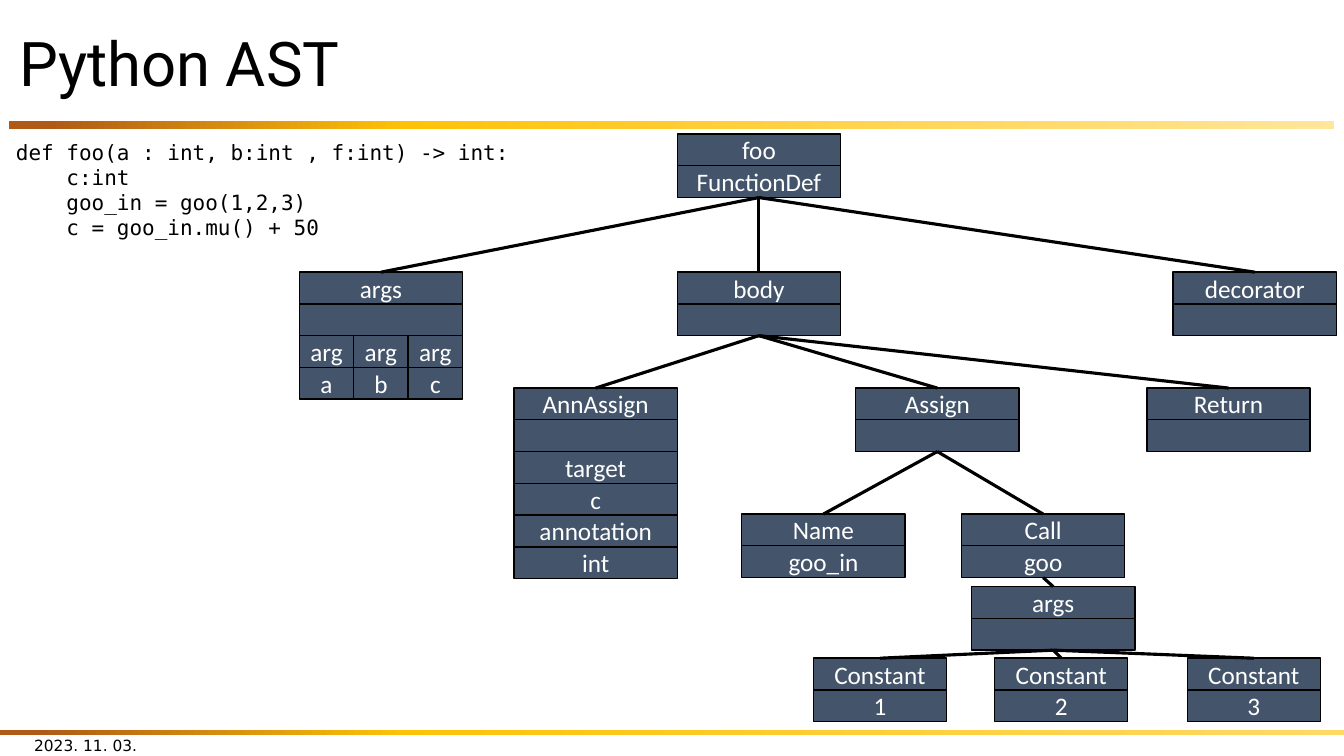
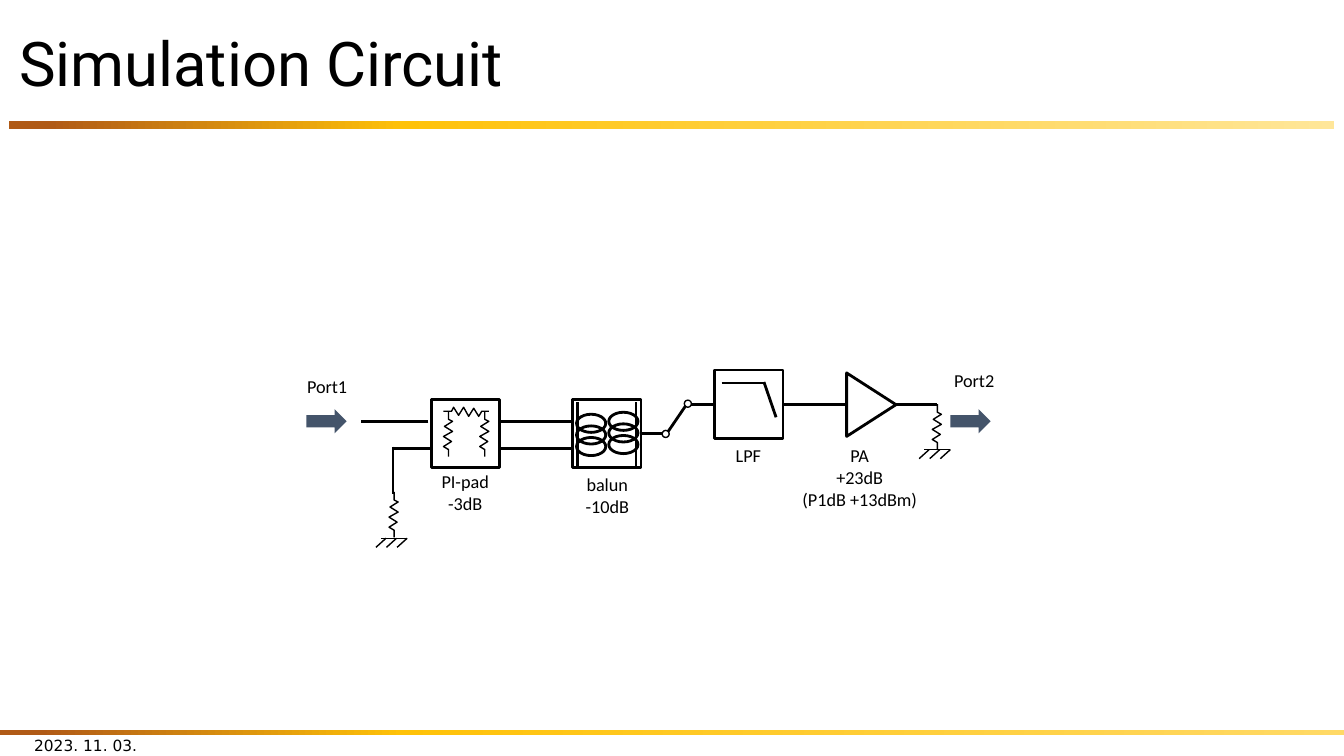
"""Build two slides: a Python syntax tree and a simulation circuit."""
from copy import deepcopy

from lxml.etree import SubElement
from pptx import Presentation
from pptx.dml.color import RGBColor
from pptx.enum.shapes import MSO_CONNECTOR, MSO_SHAPE
from pptx.enum.text import MSO_ANCHOR, PP_ALIGN
from pptx.oxml.ns import qn
from pptx.util import Pt

PX = 4572
BLACK = RGBColor(0x00, 0x00, 0x00)
WHITE = RGBColor(0xFF, 0xFF, 0xFF)
NAVY = RGBColor(0x44, 0x54, 0x6A)
RUST = RGBColor(0xB0, 0x5A, 0x16)
GOLD = RGBColor(0xFF, 0xC2, 0x08)
CREAM = RGBColor(0xFF, 0xE6, 0x99)
SAND = RGBColor(0xFF, 0xD9, 0x66)


def write(shape, words, size=18, font="Calibri", color=BLACK, align=PP_ALIGN.CENTER,
          anchor=MSO_ANCHOR.MIDDLE, lead=None, inset=20):
    frame = shape.text_frame
    frame.word_wrap = True
    frame.vertical_anchor = anchor
    frame.margin_left = frame.margin_right = inset * PX
    frame.text = words
    for para in frame.paragraphs:
        para.alignment = align
        para.line_spacing = lead
        for run in para.runs:
            run.font.size = Pt(size)
            run.font.name = font
            run.font.color.rgb = color


def wire(slide, start, end, width):
    line = slide.shapes.add_connector(
        MSO_CONNECTOR.STRAIGHT, *[n * PX for n in (*start, *end)])
    line.line.color.rgb = BLACK
    line.line.width = Pt(width)
    SubElement(line.element.find(qn("p:spPr")), qn("a:effectLst"))
    return line


deck = Presentation()
deck.slide_width, deck.slide_height = 2667 * PX, 1500 * PX
page = deck.slide_layouts[5]

slides = []
for title in ("Python AST", "Simulation Circuit"):
    slide = deck.slides.add_slide(page)
    slides.append(slide)
    head = slide.shapes.title
    head.left, head.top, head.width, head.height = [n * PX for n in (18, 34, 2630, 196)]
    write(head, title, size=44, font="Roboto", align=PP_ALIGN.LEFT, lead=0.9)
    date = slide.shapes.add_textbox(*[n * PX for n in (48, 1438, 600, 80)])
    write(date, "2023. 11. 03.", size=11, font="DejaVu Sans", align=PP_ALIGN.LEFT)
tree, plan = slides

for at, last in (((18, 240, 2630, 16), CREAM), ((0, 1448, 2667, 10), SAND)):
    band = tree.shapes.add_shape(MSO_SHAPE.RECTANGLE, *[n * PX for n in at])
    band.shadow.inherit = False
    band.line.fill.background()
    band.fill.gradient()
    band.fill.gradient_angle = 0
    stops = band.element.find(".//" + qn("a:gsLst"))
    stops.append(deepcopy(stops[0]))
    shades = ((0.03, RUST), (0.3, GOLD), (1, last))
    for stop, (place, color) in zip(band.fill.gradient_stops, shades):
        stop.position = place
        stop.color.rgb = color
    page.shapes.element.append(band.element)

ROW, WIDE, SLIM, THIRD = 63, 324, 264, 108
nodes = {
    "foo": (1344, 266, WIDE, ("foo", "FunctionDef")),
    "body": (1344, 540, WIDE, ("body", "")),
    "deco": (2328, 540, WIDE, ("decorator", "")),
    "args": (594, 540, WIDE, ("args", "")),
    "assign": (1698, 770, WIDE, ("Assign", "")),
    "return": (2276, 770, WIDE, ("Return", "")),
    "ann": (1020, 770, WIDE, ("AnnAssign", "", "target", "c", "annotation", "int")),
    "name": (1472, 1020, WIDE, ("Name", "goo_in")),
    "call": (1908, 1020, WIDE, ("Call", "goo")),
    "list": (1928, 1164, WIDE, ("args", "")),
    "one": (1614, 1306, SLIM, ("Constant", "1")),
    "two": (1974, 1306, SLIM, ("Constant", "2")),
    "three": (2356, 1306, SLIM, ("Constant", "3")),
}
for i, arg in enumerate("abc"):
    nodes["arg " + arg] = (594 + i * THIRD, 540 + 2 * ROW, THIRD, ("arg", arg))

cells = {}
for key, (x, y, width, rows) in nodes.items():
    cells[key] = []
    for i, words in enumerate(rows):
        cell = tree.shapes.add_shape(
            MSO_SHAPE.RECTANGLE, *[n * PX for n in (x, y + i * ROW, width, ROW)])
        cell.shadow.inherit = False
        cell.fill.solid()
        cell.fill.fore_color.rgb = NAVY
        cell.line.color.rgb = BLACK
        cell.line.width = Pt(1)
        if words:
            write(cell, words, color=WHITE, inset=0)
        cells[key].append(cell)

links = {
    "foo": ("args", "body", "deco"),
    "body": ("ann", "assign", "return"),
    "assign": ("name", "call"),
    "call": ("list",),
    "list": ("one", "two", "three"),
}
for top, kids in links.items():
    for kid in kids:
        line = wire(tree, (0, 0), (0, 0), 2.25)
        line.begin_connect(cells[top][-1], 2)
        line.end_connect(cells[kid][0], 0)

code = tree.shapes.add_textbox(*[n * PX for n in (12, 266, 1350, 222)])
write(code, """def foo(a : int, b:int , f:int) -> int:
    c:int
    goo_in = goo(1,2,3)
    c = goo_in.mu() + 50""", size=15, font="DejaVu Sans Mono",
      align=PP_ALIGN.LEFT, anchor=MSO_ANCHOR.TOP)

parts = [
    ("amp", MSO_SHAPE.ISOSCELES_TRIANGLE, (1666, 754, 126, 98), 2),
    ("filter", MSO_SHAPE.RECTANGLE, (1418, 734, 136, 136), 2),
    ("pad", MSO_SHAPE.RECTANGLE, (856, 792, 136, 136), 2),
    ("balun", MSO_SHAPE.RECTANGLE, (1136, 792, 136, 136), 2),
    ("pole", MSO_SHAPE.OVAL, (1314, 854, 14, 14), 1),
    ("throw", MSO_SHAPE.OVAL, (1358, 794, 14, 14), 1),
    ("in", MSO_SHAPE.RIGHT_ARROW, (608, 812, 80, 48), 0),
    ("out", MSO_SHAPE.RIGHT_ARROW, (1886, 812, 80, 48), 0),
]
for x, y in ((1208, 818), (1144, 822)):
    for i in range(3):
        parts.append(("coil", MSO_SHAPE.OVAL, (x, y + 23 * i, 58, 36), 2))

made = {}
for key, kind, at, width in parts:
    part = plan.shapes.add_shape(kind, *[n * PX for n in at])
    part.shadow.inherit = False
    if width:
        part.fill.background()
        part.line.color.rgb = BLACK
        part.line.width = Pt(width)
    else:
        part.fill.solid()
        part.fill.fore_color.rgb = NAVY
        part.line.fill.background()
    made[key] = part
made["amp"].rotation = 90

for start, end in (
    ((1432, 760), (1518, 760)), ((1516, 758), (1540, 828)),
    ((1262, 798), (1262, 924)), ((1146, 924), (1146, 798)),
    ((1360, 806), (1326, 856)), ((1860, 802), (1778, 802)),
    ((850, 836), (716, 836)), ((856, 890), (778, 890)),
    ((1140, 836), (994, 836)), ((1140, 890), (994, 890)),
    ((780, 886), (780, 980)),
):
    wire(plan, start, end, 2)
for start, end, key, side in (
    ((1314, 860), (1276, 860), "balun", 3),
    ((1372, 802), (1418, 802), "filter", 1),
    ((1680, 802), (1554, 802), "filter", 3),
):
    wire(plan, start, end, 2).end_connect(made[key], side)

ZIG = ((0, 0), (0, 16), (8, 20), (-8, 30), (8, 40), (-10, 50),
       (6, 60), (-10, 70), (0, 76), (0, 90))
for x, y, flat in ((890, 816, False), (962, 816, False), (880, 816, True),
                   (1860, 802, False), (782, 976, False)):
    dots = [(x + b, y - a) if flat else (x + a, y + b) for a, b in ZIG]
    path = plan.shapes.build_freeform(*dots[0], scale=PX)
    path.add_line_segments(dots[1:], close=False)
    coil = path.convert_to_shape()
    coil.shadow.inherit = False
    coil.fill.background()
    coil.line.color.rgb = BLACK
    coil.line.width = Pt(1)

for x, y in ((756, 1068), (1834, 892)):
    wire(plan, (x, y), (x + 52, y), 1)
    for i in range(3):
        wire(plan, (x - 10 + 21 * i, y + 18), (x + 10 + 21 * i, y), 1)

for words, at in (
    ("balun\n-10dB", (1130, 930, 150, 108)),
    ("LPF", (1410, 872, 150, 64)),
    ("PI-pad\n-3dB", (848, 924, 150, 108)),
    ("PA\n+23dB\n(P1dB +13dBm)", (1552, 872, 308, 152)),
    ("Port1", (574, 734, 150, 64)),
    ("Port2", (1858, 722, 150, 64)),
):
    label = plan.shapes.add_textbox(*[n * PX for n in at])
    write(label, words, size=13, anchor=MSO_ANCHOR.TOP)

deck.save("out.pptx")
